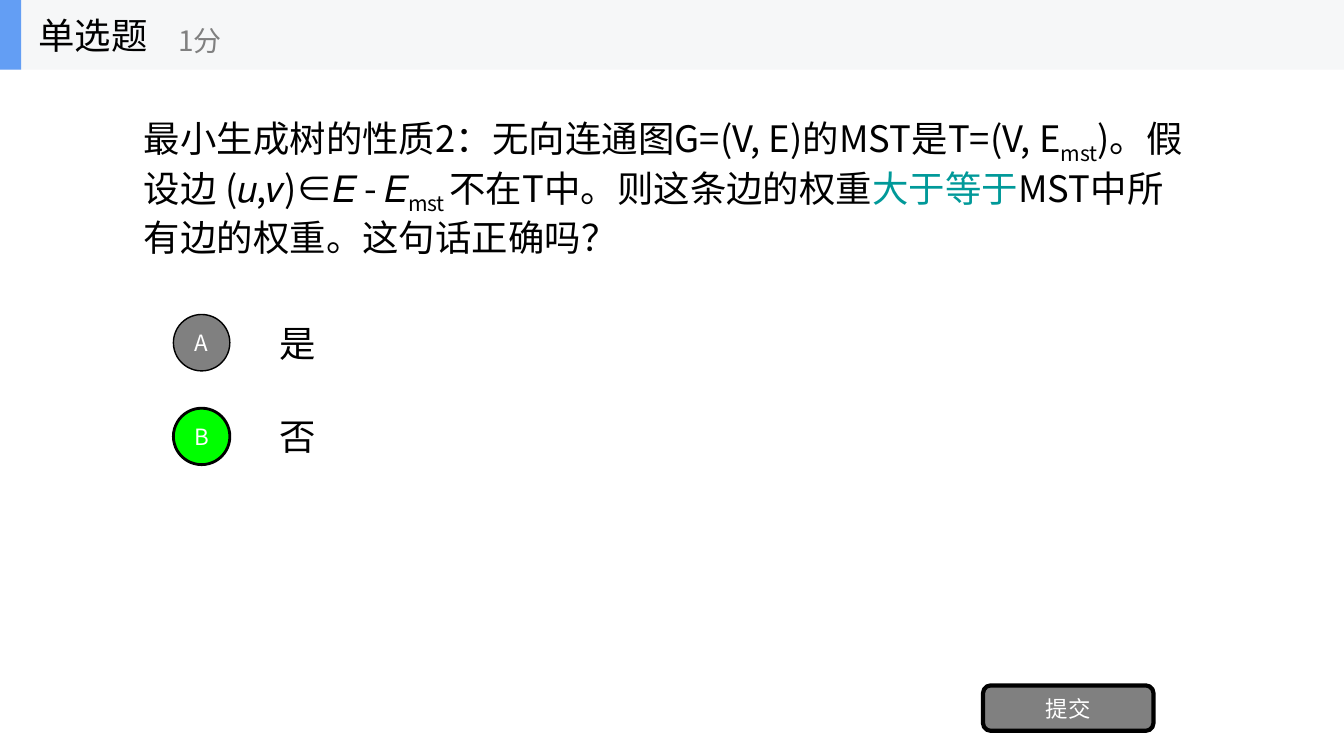
from lxml.etree import SubElement
from pptx import Presentation
from pptx.dml.color import RGBColor
from pptx.enum.shapes import MSO_SHAPE as Preset
from pptx.enum.text import MSO_ANCHOR as Anchor, MSO_AUTO_SIZE as AutoSize, PP_ALIGN as Align
from pptx.oxml.ns import qn
from pptx.util import Inches, Pt

FONT = "Noto Sans CJK SC"
BLACK = RGBColor(0x00, 0x00, 0x00)
WHITE = RGBColor(0xFF, 0xFF, 0xFF)
GRAY = RGBColor(0x80, 0x80, 0x80)
GREEN = RGBColor(0x00, 0xFF, 0x00)
TEAL = RGBColor(0x00, 0x99, 0x99)
BAR = RGBColor(0xF6, 0xF7, 0xF8)
BLUE = RGBColor(0x63, 0x9E, 0xF4)


def write(shape, parts, size, color, align=Align.LEFT):
    text_frame = shape.text_frame
    text_frame.word_wrap = True
    text_frame.auto_size = AutoSize.NONE
    text_frame.vertical_anchor = Anchor.MIDDLE
    paragraph = text_frame.paragraphs[0]
    paragraph.alignment = align
    for text, baseline, accent in parts:
        run = paragraph.add_run()
        run.text = text
        run.font.size = Pt(size)
        run.font.name = FONT
        run.font.color.rgb = accent or color
        properties = run.font._element
        SubElement(properties, qn("a:ea")).set("typeface", FONT)
        if baseline:
            properties.set("baseline", str(baseline * 1000))


def add_block(preset, box, fill, line_width=0):
    shape = slide.shapes.add_shape(preset, *map(Inches, box))
    shape.shadow.inherit = False
    shape.fill.solid()
    shape.fill.fore_color.rgb = fill
    if line_width:
        shape.line.color.rgb = BLACK
        shape.line.width = Pt(line_width)
    else:
        shape.line.fill.background()
    return shape


presentation = Presentation()
presentation.slide_width = Inches(13.33)
presentation.slide_height = Inches(7.5)
slide = presentation.slides.add_slide(presentation.slide_layouts[5])

question = slide.shapes.add_textbox(Inches(1.33), Inches(0.69), Inches(10.67), Inches(2.34))
write(question, [
    ("最小生成树的性质2：无向连通图G=(V, E)的MST是T=(V, E", 0, None),
    ("mst", -25, None),
    (")。假设边 (𝑢,𝑣)∈𝐸 - 𝐸", 0, None),
    ("mst ", -25, None),
    ("不在T中。则这条边的权重", 0, None),
    ("大于等于", 0, TEAL),
    ("MST中所有边的权重。这句话正确吗？", 0, None),
], 26, BLACK)

options = [("A", "是", GRAY, 1), ("B", "否", GREEN, 2)]
for index, (letter, answer, fill, line_width) in enumerate(options):
    top = 3.05 + index * 0.93
    answer_box = slide.shapes.add_textbox(Inches(2.67), Inches(top), Inches(9.33), Inches(0.7))
    write(answer_box, [(answer, 0, None)], 26, BLACK)
    badge = add_block(Preset.OVAL, (1.72, top + 0.07, 0.56, 0.56), fill, line_width)
    badge.text_frame.margin_left = badge.text_frame.margin_right = 0
    write(badge, [(letter, 0, None)], 16, WHITE, Align.CENTER)

submit = add_block(Preset.ROUNDED_RECTANGLE, (9.75, 6.8, 1.69, 0.45), GRAY, 3)
write(submit, [("提交", 0, None)], 16, WHITE, Align.CENTER)

add_block(Preset.RECTANGLE, (0, 0, 13.33, 0.69), BAR)
add_block(Preset.RECTANGLE, (0, 0, 0.21, 0.69), BLUE)

title = slide.shapes.title
slide.shapes.element.append(title.element)
title.left, title.top, title.width, title.height = map(Inches, (0.28, 0, 2.08, 0.69))
write(title, [("单选题", 0, None)], 26, BLACK)

score = slide.shapes.add_textbox(Inches(1.67), Inches(0.12), Inches(2.5), Inches(0.56))
write(score, [("1分", 0, None)], 20, GRAY)

presentation.save("out.pptx")
